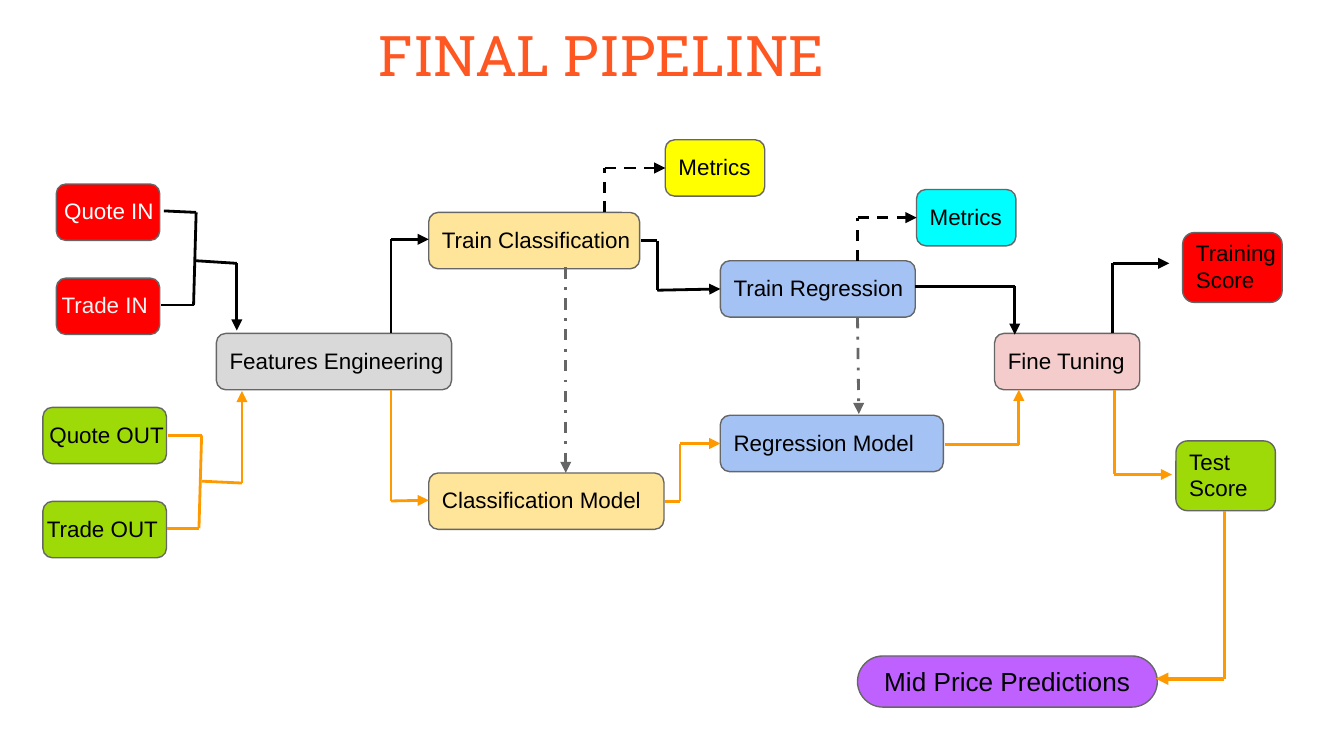
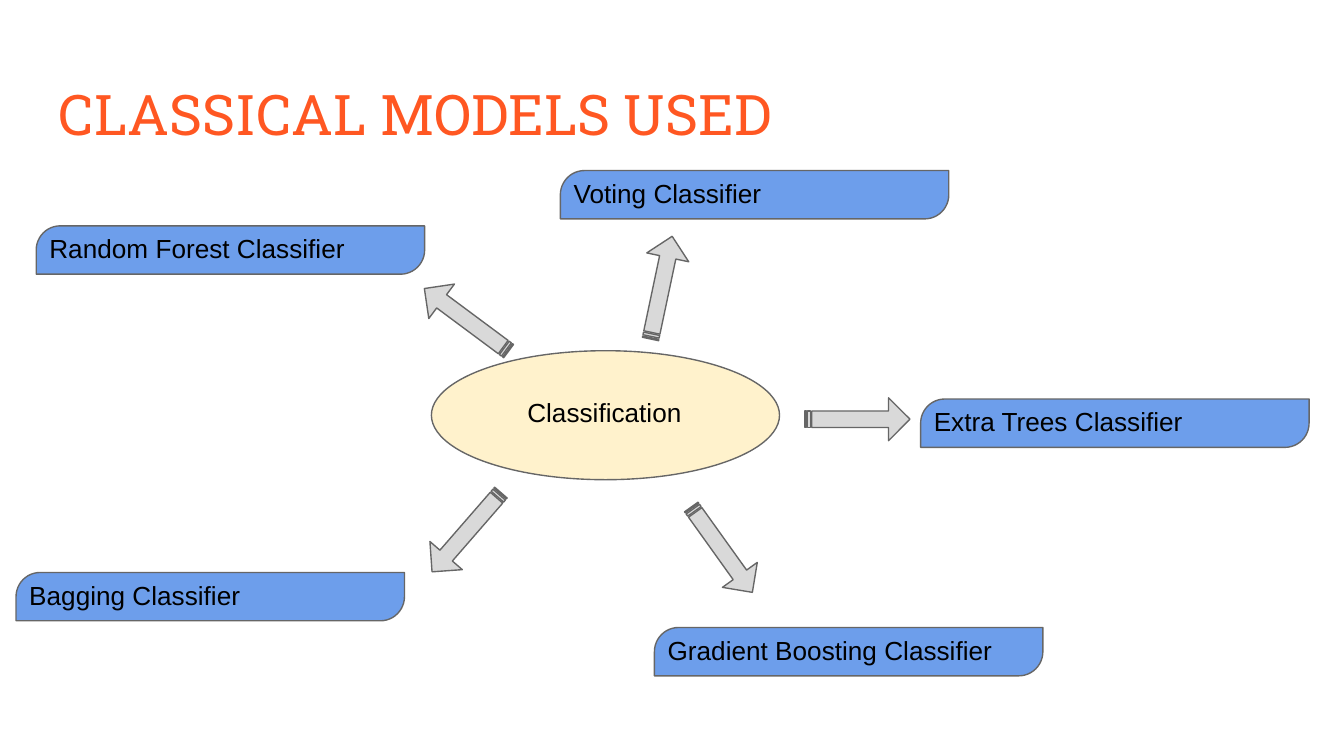
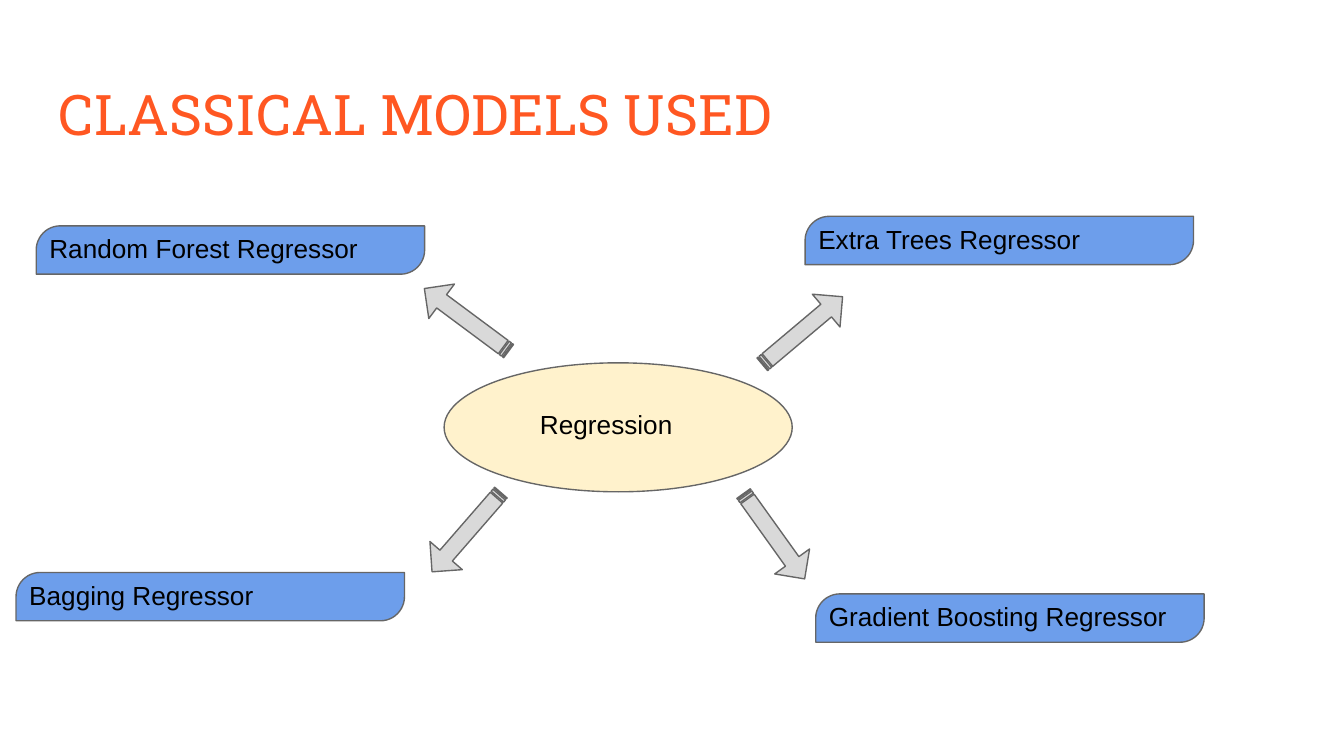
import pptx
import pptx.dml.color
import pptx.enum.dml
import pptx.enum.shapes
import pptx.enum.text
import pptx.oxml
import pptx.oxml.ns
import pptx.util

Pt = pptx.util.Pt
SHAPE = pptx.enum.shapes.MSO_SHAPE
DASH = pptx.enum.dml.MSO_LINE

BLACK, WHITE, GREY, LIGHT_GREY = "000000", "FFFFFF", "666666", "D9D9D9"
ORANGE, TITLE_ORANGE = "FF9900", "FF5722"
RED, GREEN, SAND, BLUE = "FF0000", "9ED908", "FFE599", "A4C2F4"
LABEL_BLUE, CREAM = "6D9EEB", "FFF2CC"
TITLE_FONT, BODY_FONT = "Roboto Slab", "Arial"


def rgb(color):
    return pptx.dml.color.RGBColor.from_string(color)


def add_element(parent, tag, **attrs):
    el = pptx.oxml.parse_xml(f"<{tag} {pptx.oxml.ns.nsdecls('a')}/>")
    for name, value in attrs.items():
        el.set(name, value)
    parent.append(el)


def add_text(s, box, text, size=12, color=BLACK, font=BODY_FONT):
    sp = s.shapes.add_textbox(*map(Pt, box))
    tf = sp.text_frame
    tf.word_wrap = True
    tf.vertical_anchor = pptx.enum.text.MSO_ANCHOR.TOP
    tf.margin_left = tf.margin_right = tf.margin_top = tf.margin_bottom = Pt(7.2)
    tf.text = text
    for p in tf.paragraphs:
        for r in p.runs:
            r.font.size = Pt(size)
            r.font.name = font
            r.font.color.rgb = rgb(color)


def add_title(s, box, text):
    add_text(s, box, text, 30, TITLE_ORANGE, TITLE_FONT)


def add_figure(s, kind, box, fill, adjustments=(), rotation=0):
    sp = s.shapes.add_shape(kind, *map(Pt, box))
    sp.shadow.inherit = False
    sp.fill.solid()
    sp.fill.fore_color.rgb = rgb(fill)
    sp.line.color.rgb = rgb(GREY)
    sp.line.width = Pt(0.75)
    for i, value in enumerate(adjustments):
        sp.adjustments[i] = value
    sp.rotation = rotation
    return sp


def add_route(s, points, color, dash=None, arrow=True, last_width=1.5):
    """Joins the points with straight lines; the last one carries the arrowhead."""
    legs = list(zip(points, points[1:]))
    for i, (start, end) in enumerate(legs):
        is_last = i == len(legs) - 1
        cx = s.shapes.add_connector(
            pptx.enum.shapes.MSO_CONNECTOR.STRAIGHT, *map(Pt, start + end))
        cx.line.color.rgb = rgb(color)
        cx.line.width = Pt(last_width if is_last else 1.5)
        if dash:
            cx.line.dash_style = dash
        if arrow and is_last:
            add_element(cx.line._get_or_add_ln(), "a:tailEnd", type="triangle")
        add_element(cx._element.spPr, "a:effectLst")


# Pipeline slide: label, left, top, width, fill, text shift, text width
STEPS = [
    ("Features Engineering", 115.9, 178.6, 126, LIGHT_GREY, 0, 151.2),
    ("Train Classification", 229.7, 113.8, 113, SAND, 0, 146.2),
    ("Train Regression", 385.9, 139.7, 104.4, BLUE, 0, 146.2),
    ("Fine Tuning", 532.8, 178.6, 77.8, "F4CCCC", 0, 77.8),
    ("Classification Model", 229.7, 253.4, 126, SAND, 0, 146.2),
    ("Regression Model", 385.9, 222.5, 119.5, BLUE, 0, 126),
    ("Quote OUT", 23, 218.2, 66.2, GREEN, -3.6, 77.8),
    ("Trade OUT", 23, 268.6, 66.2, GREEN, -5, 80.6),
    ("Metrics", 356.4, 74.9, 53.3, "FFFF00", 0, 53.3),
    ("Metrics", 491, 101.5, 53.3, "00FFFF", 0, 53.3),
]
INPUTS = [
    ("Quote IN", 30.2, 98.6, 55.4, RED, -2.9, 77.8, WHITE),
    ("Trade IN", 30.2, 149, 55.4, RED, -4.3, 77.8, "F3F3F3"),
]
SCORES = [
    ("Training Score", 633.6, 124.6, RED),
    ("Test\nScore", 630, 236.2, GREEN),
]

# Joins of the two sources, without arrowheads
MERGES = [
    (BLACK, [(87.8, 113), (105.1, 113.8), (103.7, 163.4), (86.4, 163.4)]),
    (ORANGE, [(90, 233.3), (108, 233.3), (106.6, 283), (89.3, 283)]),
]
TRAINING_ROUTES = [
    [(105.1, 139.7), (126.9, 141.1), (126.9, 177.1)],
    [(209.5, 178.6), (209.5, 128.2), (229.7, 128.2)],
    [(343.4, 128.9), (352.1, 128.9), (352.1, 155.5), (385.9, 154.8)],
    [(490.3, 153.4), (543.6, 153.4), (543.6, 179.3)],
    [(596.2, 178.6), (596.2, 141.1), (626.4, 141.1)],
]
TEST_ROUTES = [
    [(108, 257.8), (129.6, 258.8), (129.6, 209.5)],
    [(209.5, 208.8), (209.5, 268.4), (229.7, 268)],
    [(356.4, 268.6), (364.3, 268.6), (364.3, 237.6), (385.9, 237.6)],
    [(506.2, 238.3), (545.8, 238.3), (545.8, 208.8)],
    [(596.9, 208.8), (596.9, 254.2), (627.8, 254.2)],
]
METRIC_ROUTES = [
    [(324, 113.8), (324, 90), (356.4, 90)],
    [(459.4, 139.7), (459.4, 116.6), (491, 116.6)],
]
MODEL_ROUTES = [
    [(303.1, 143.3), (303.1, 253.4)],
    [(459.4, 169.9), (460.1, 221.8)],
]


def add_step(s, text, x, y, w, fill, shift, text_w, color=BLACK):
    add_figure(s, SHAPE.FLOWCHART_ALTERNATE_PROCESS, (x, y, w, 30.2), fill)
    add_text(s, (x + shift, y, text_w, 30.2), text, color=color)


def add_score(s, text, x, y, fill):
    add_figure(s, SHAPE.FLOWCHART_ALTERNATE_PROCESS, (x, y, 53.3, 37.4), fill)
    add_text(s, (x, y - 3.6, 66.2, 30.2), text)


def add_prediction(s, x, y, w, h):
    sp = add_figure(s, SHAPE.ROUNDED_RECTANGLE, (x, y, w, h), "9900FF", [0.5])
    color = sp._element.spPr.find(".//" + pptx.oxml.ns.qn("a:srgbClr"))
    add_element(color, "a:alpha", val="62000")
    add_text(s, (x + 7.2, y - 2.2, w - 14.4, h), "Mid Price Predictions", 14)


def pipeline_slide(s):
    add_title(s, (195.8, 3.6, 295.9, 45.4), "FINAL PIPELINE")
    # Steps
    for step in INPUTS + STEPS:
        add_step(s, *step)
    for score in SCORES:
        add_score(s, *score)
    add_prediction(s, 459.4, 351.4, 160.6, 27.4)
    # Flow lines
    for color, points in MERGES:
        add_route(s, points, color, arrow=False)
    for routes, color, dash in [
        (TRAINING_ROUTES, BLACK, None),
        (TEST_ROUTES, ORANGE, None),
        (METRIC_ROUTES, BLACK, DASH.DASH),
        (MODEL_ROUTES, GREY, DASH.DASH_DOT),
    ]:
        for points in routes:
            add_route(s, points, color, dash)
    add_route(s, [(655.9, 273.6), (655.9, 363.6), (619.2, 363.6)], ORANGE,
              last_width=2.25)


# Model slides: hub, labels (left, top) and arrows (left, top, rotation)
UP_LEFT_ARROW, DOWN_LEFT_ARROW = (221.8, 159.8, 216.6), (221.8, 273.6, 131)
CLASSIFIERS = [
    ("Random Forest Classifier", 19.4, 121),
    ("Voting Classifier", 300.2, 91.4),
    ("Extra Trees Classifier", 493.2, 213.8),
    ("Bagging Classifier", 8.6, 306.7),
    ("Gradient Boosting Classifier", 350.6, 336.2),
]
CLASSIFIER_ARROWS = [
    UP_LEFT_ARROW, DOWN_LEFT_ARROW,
    (326.2, 142.6, 281.9), (358.6, 283, 54.4), (431.3, 213.1, 0),
]
REGRESSORS = [
    ("Random Forest Regressor", 19.4, 121),
    ("Extra Trees Regressor", 431.3, 115.9),
    ("Bagging Regressor", 8.6, 306.7),
    ("Gradient Boosting Regressor", 437, 318.2),
]
REGRESSOR_ARROWS = [
    UP_LEFT_ARROW, DOWN_LEFT_ARROW,
    (386.6, 275.8, 54.4), (401.8, 165.6, 319.9),
]


def add_hub(s, text, x, y):
    add_figure(s, SHAPE.OVAL, (x, y, 186.5, 69.1), CREAM)
    add_text(s, (x + 44.3, y + 17.3, 113.8, 25.9), text, 14)


def add_model(s, text, x, y):
    add_figure(s, SHAPE.ROUND_2_DIAG_RECTANGLE, (x, y, 208.1, 25.9),
               LABEL_BLUE, [0.5, 0])
    add_text(s, (x, y - 3.6, 218.2, 33.1), text, 14)


def models_slide(s, hub, models, arrows):
    add_title(s, (24.5, 35.3, 671, 45.4), "CLASSICAL MODELS USED")
    add_hub(s, *hub)
    for model in models:
        add_model(s, *model)
    for x, y, rotation in arrows:
        add_figure(s, SHAPE.STRIPED_RIGHT_ARROW, (x, y, 56.2, 23), LIGHT_GREY,
                   [0.385, 0.5], rotation)


def main():
    prs = pptx.Presentation()
    prs.slide_width, prs.slide_height = Pt(720), Pt(405)
    slides = [prs.slides.add_slide(prs.slide_layouts[6]) for _ in range(3)]
    pipeline_slide(slides[0])
    models_slide(slides[1], ("Classification", 231.1, 187.9),
                 CLASSIFIERS, CLASSIFIER_ARROWS)
    models_slide(slides[2], ("Regression", 237.9, 194.4),
                 REGRESSORS, REGRESSOR_ARROWS)
    prs.save("out.pptx")


if __name__ == "__main__":
    main()
